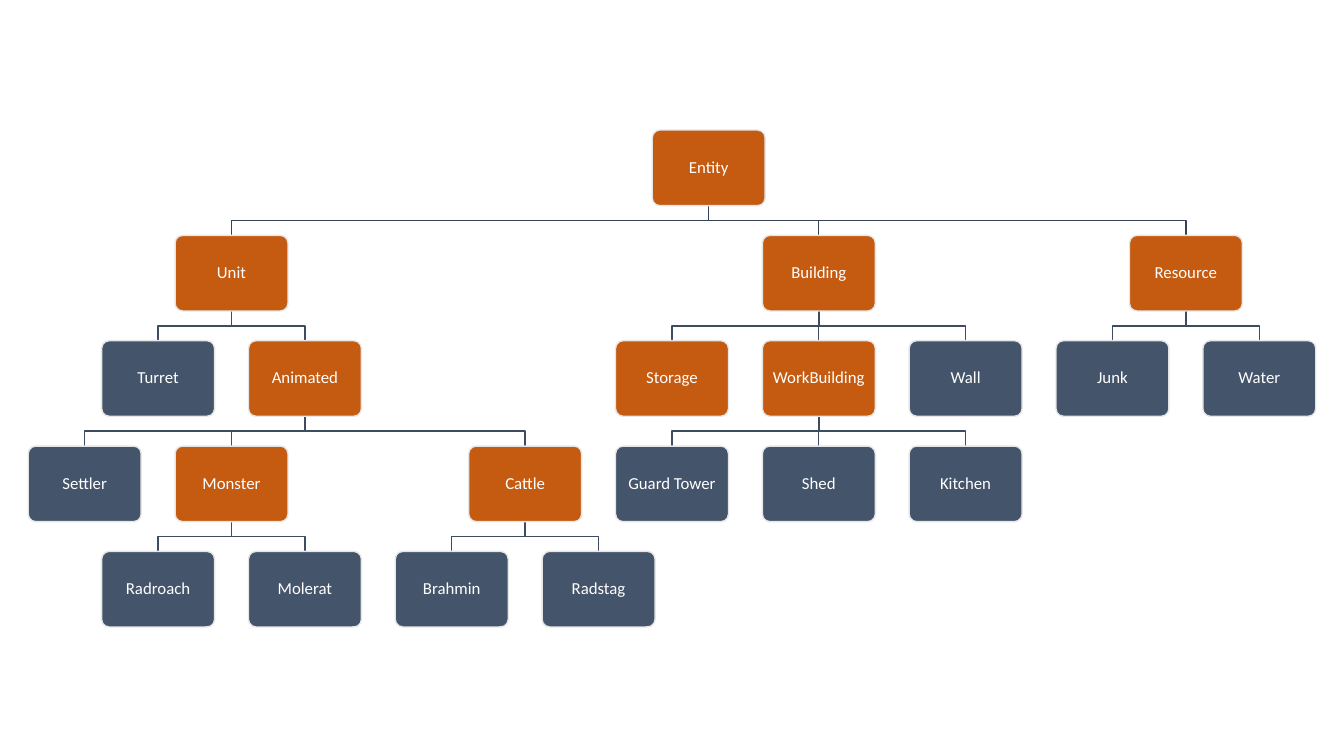
import lxml.etree
import pptx
import pptx.dml.color
import pptx.enum.shapes
import pptx.enum.text
import pptx.oxml.ns
import pptx.util

Inches = pptx.util.Inches
Pt = pptx.util.Pt
RGB = pptx.dml.color.RGBColor.from_string

THEME = {
    "base": RGB("C55A11"),
    "concrete": RGB("44546A"),
    "border": RGB("E7E6E6"),
    "root_branch": RGB("364355"),
    "branch": RGB("3E4C60"),
    "label": RGB("FFFFFF"),
    "font": "Calibri",
    "size": Pt(12),
    "line": Pt(1),
}

LEFT, TOP = 0.28, 1.29
BOX_WIDTH, BOX_HEIGHT = 1.12, 0.75
COLUMN_STEP = (11.93 - LEFT) / 8
LEVEL_STEP = (5.47 - TOP) / 4

CHILDREN = {
    "Entity": ["Unit", "Building", "Resource"],
    "Unit": ["Turret", "Animated"],
    "Animated": ["Settler", "Monster", "Cattle"],
    "Monster": ["Radroach", "Molerat"],
    "Cattle": ["Brahmin", "Radstag"],
    "Building": ["Storage", "WorkBuilding", "Wall"],
    "WorkBuilding": ["Guard Tower", "Shed", "Kitchen"],
    "Resource": ["Junk", "Water"],
}
BASE_CLASSES = {*CHILDREN, "Storage"}

column = {
    "Settler": 0, "Turret": 0.5, "Radroach": 0.5, "Molerat": 1.5,
    "Brahmin": 2.5, "Radstag": 3.5, "Storage": 4, "Wall": 6,
    "Guard Tower": 4, "Shed": 5, "Kitchen": 6, "Junk": 7, "Water": 8,
}
for parent in ["Monster", "Cattle", "Animated", "Unit",
               "WorkBuilding", "Building", "Resource", "Entity"]:
    children = CHILDREN[parent]
    column[parent] = (column[children[0]] + column[children[-1]]) / 2

level = {"Entity": 0}
parent_of = {}
for parent, children in CHILDREN.items():
    for child in children:
        parent_of[child] = parent
        level[child] = level[parent] + 1

deck = pptx.Presentation()
deck.slide_width, deck.slide_height = Inches(13.33), Inches(7.5)
slide = deck.slides.add_slide(deck.slide_layouts[6])


def center_and_top(name):
    center = LEFT + column[name] * COLUMN_STEP + BOX_WIDTH / 2
    return Inches(center), Inches(TOP + level[name] * LEVEL_STEP)


for child, parent in parent_of.items():
    start_x, parent_top = center_and_top(parent)
    end_x, end_y = center_and_top(child)
    start_y = parent_top + Inches(BOX_HEIGHT)
    if start_x == end_x:
        branch = slide.shapes.add_connector(
            pptx.enum.shapes.MSO_CONNECTOR.STRAIGHT, start_x, start_y, end_x, end_y)
    else:
        middle_y = (start_y + end_y) // 2
        outline = slide.shapes.build_freeform(start_x, start_y)
        outline.add_line_segments(
            [(start_x, middle_y), (end_x, middle_y), (end_x, end_y)], close=False)
        branch = outline.convert_to_shape()
        branch.fill.background()
    branch.line.color.rgb = THEME["root_branch" if parent == "Entity" else "branch"]
    branch.line.width = THEME["line"]
    lxml.etree.SubElement(branch._element.spPr, pptx.oxml.ns.qn("a:effectLst"))

for name in level:
    center_x, top = center_and_top(name)
    box = slide.shapes.add_shape(
        pptx.enum.shapes.MSO_SHAPE.ROUNDED_RECTANGLE,
        center_x - Inches(BOX_WIDTH / 2), top, Inches(BOX_WIDTH), Inches(BOX_HEIGHT))
    box.adjustments[0] = 0.1
    box.shadow.inherit = False
    box.fill.solid()
    box.fill.fore_color.rgb = THEME["base" if name in BASE_CLASSES else "concrete"]
    box.line.color.rgb = THEME["border"]
    box.line.width = THEME["line"]
    label = box.text_frame
    label.text = name
    label.word_wrap = True
    label.vertical_anchor = pptx.enum.text.MSO_ANCHOR.MIDDLE
    label.margin_left = label.margin_right = Inches(0.05)
    label.margin_top = label.margin_bottom = Inches(0.05)
    paragraph = label.paragraphs[0]
    paragraph.alignment = pptx.enum.text.PP_ALIGN.CENTER
    paragraph.line_spacing = 0.9
    paragraph.font.name = THEME["font"]
    paragraph.font.size = THEME["size"]
    paragraph.font.color.rgb = THEME["label"]

deck.save("out.pptx")
